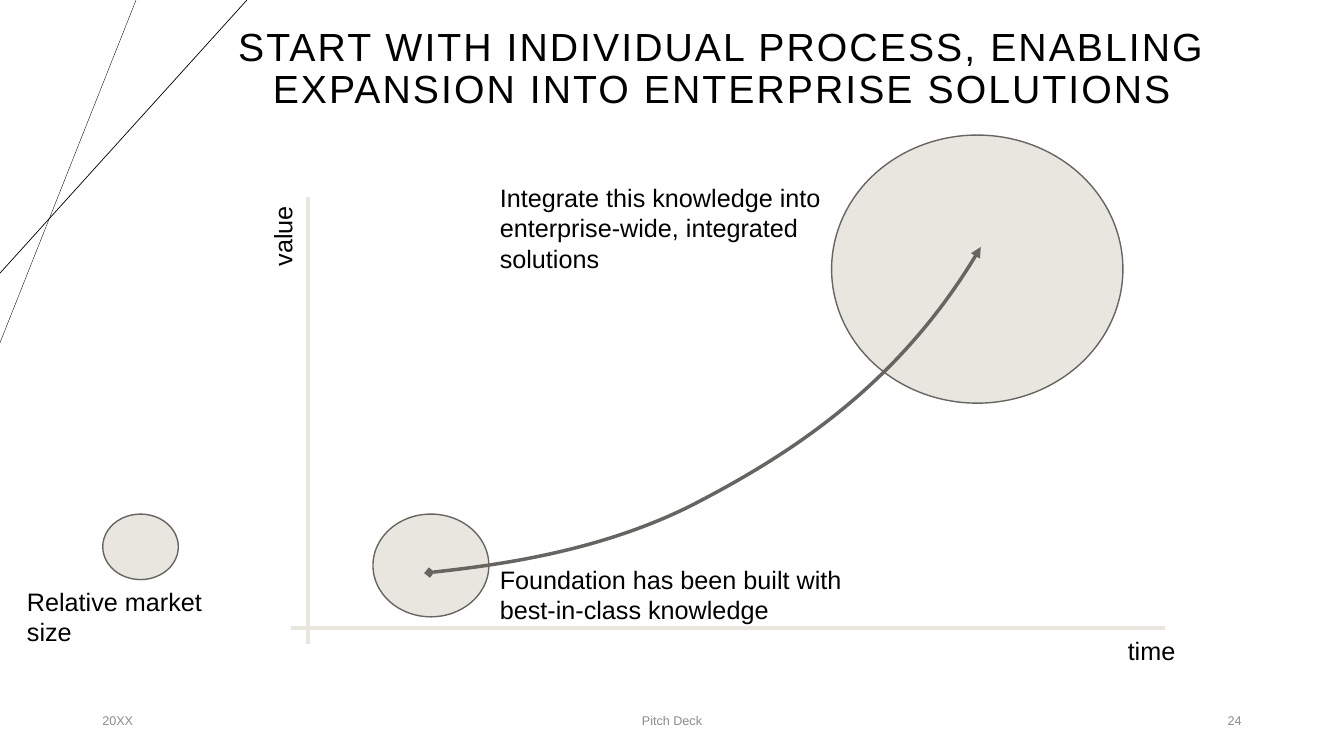
from dataclasses import dataclass

from lxml.etree import SubElement
from pptx import Presentation
from pptx.dml.color import RGBColor
from pptx.enum.shapes import MSO_CONNECTOR, MSO_SHAPE
from pptx.enum.text import MSO_ANCHOR, MSO_AUTO_SIZE, PP_ALIGN
from pptx.oxml.ns import qn
from pptx.util import Pt

BLACK = RGBColor(0x00, 0x00, 0x00)
GREY = RGBColor(0x8C, 0x8C, 0x8C)
SAND = RGBColor(0xE9, 0xE6, 0xDF)
SLATE = RGBColor(0x66, 0x65, 0x62)
FONT = "Arial"


@dataclass
class Line:
    x1: float
    y1: float
    x2: float
    y2: float
    color: RGBColor
    weight: float


@dataclass
class Bubble:
    x: float
    y: float
    w: float
    h: float


@dataclass
class Label:
    text: str
    x: float
    y: float
    w: float
    h: float = 28.8
    rotation: float = 0


@dataclass
class FooterItem:
    text: str
    x: float
    w: float
    align: PP_ALIGN


CORNER_LINES = [
    Line(97.2, 0, 0, 244.8, BLACK, 0.25),
    Line(176.4, 0, 0, 195.1, BLACK, 0.5),
]
AXES = [
    Line(208.1, 448.6, 832.3, 448.6, SAND, 2.75),
    Line(220.3, 460.1, 220.3, 140.4, SAND, 2.75),
]
BUBBLES = [
    Bubble(266.4, 367.2, 82.8, 73.4),
    Bubble(594, 96.5, 208.1, 191.5),
    Bubble(73.4, 367.2, 54, 46.8),
]
# Start point, then two controls and an end point for each curve section
GROWTH = [
    (306.7, 409), (346.3, 404.6), (426.2, 395.3), (494.6, 360.7),
    (563, 325.4), (643.7, 274.3), (700.6, 176.4),
]
LABELS = [
    Label("Foundation has been built with best-in-class knowledge",
          349.9, 399.6, 274.3, 51.1),
    Label("Integrate this knowledge into enterprise-wide, integrated solutions",
          349.9, 126.7, 274.3, 72.7),
    Label("Relative market size", 12.2, 415.4, 172.8),
    Label("time", 798.5, 450, 67.7),
    Label("value", 167.8, 149, 67.7, rotation=270),
]
FOOTER = [
    FooterItem("20XX", 66, 216, PP_ALIGN.LEFT),
    FooterItem("Pitch Deck", 318, 324, PP_ALIGN.CENTER),
    FooterItem("24", 678, 216, PP_ALIGN.RIGHT),
]


def format_text(tf, size: float, color: RGBColor, align: PP_ALIGN) -> None:
    for p in tf.paragraphs:
        p.alignment = align
        for r in p.runs:
            r.font.name = FONT
            r.font.size = Pt(size)
            r.font.color.rgb = color


def add_line(s, line: Line) -> None:
    c = s.shapes.add_connector(MSO_CONNECTOR.STRAIGHT, Pt(line.x1), Pt(line.y1),
                               Pt(line.x2), Pt(line.y2))
    c.line.color.rgb = line.color
    c.line.width = Pt(line.weight)
    SubElement(c._element.spPr, qn("a:effectLst"))


def add_bubble(s, b: Bubble) -> None:
    sp = s.shapes.add_shape(MSO_SHAPE.OVAL, Pt(b.x), Pt(b.y), Pt(b.w), Pt(b.h))
    sp.shadow.inherit = False
    sp.fill.solid()
    sp.fill.fore_color.rgb = SAND
    sp.line.color.rgb = SLATE
    sp.line.width = Pt(1)


def add_growth_curve(s, points: list[tuple[float, float]]) -> None:
    start, *rest = [(Pt(x), Pt(y)) for x, y in points]
    builder = s.shapes.build_freeform(*start)
    builder.add_line_segments(rest, close=False)
    sp = builder.convert_to_shape()
    sp.shadow.inherit = False
    sp.fill.background()
    sp.line.color.rgb = SLATE
    sp.line.width = Pt(2.5)

    # Turn every three straight segments into one Bezier section
    path = next(sp._element.iter(qn("a:path")))
    segments = path.findall(qn("a:lnTo"))
    for i in range(0, len(segments), 3):
        curve = SubElement(path, qn("a:cubicBezTo"))
        for segment in segments[i:i + 3]:
            curve.append(segment[0])
            path.remove(segment)

    ln = sp._element.spPr.find(qn("a:ln"))
    SubElement(ln, qn("a:headEnd"), type="diamond")
    SubElement(ln, qn("a:tailEnd"), type="triangle")


def add_label(s, label: Label) -> None:
    sp = s.shapes.add_textbox(Pt(label.x), Pt(label.y), Pt(label.w), Pt(label.h))
    sp.rotation = label.rotation
    tf = sp.text_frame
    tf.word_wrap = True
    tf.auto_size = MSO_AUTO_SIZE.SHAPE_TO_FIT_TEXT
    tf.text = label.text
    format_text(tf, 18, BLACK, PP_ALIGN.LEFT)


def add_footer_item(s, item: FooterItem) -> None:
    sp = s.shapes.add_textbox(Pt(item.x), Pt(500.5), Pt(item.w), Pt(28.8))
    tf = sp.text_frame
    tf.word_wrap = True
    tf.vertical_anchor = MSO_ANCHOR.MIDDLE
    tf.text = item.text
    format_text(tf, 9, GREY, item.align)


def set_title(s, text: str) -> None:
    sp = s.shapes.title
    sp.left, sp.top, sp.width, sp.height = Pt(137.5), Pt(-2.2), Pt(756.7), Pt(104.4)
    tf = sp.text_frame
    tf.word_wrap = True
    tf.auto_size = MSO_AUTO_SIZE.NONE
    tf.vertical_anchor = MSO_ANCHOR.MIDDLE
    tf.text = text
    format_text(tf, 28, BLACK, PP_ALIGN.CENTER)
    p = tf.paragraphs[0]
    p.line_spacing = 0.9
    p.runs[0].font._element.set("spc", "150")


def main() -> None:
    prs = Presentation()
    prs.slide_width, prs.slide_height = Pt(960), Pt(540)
    s = prs.slides.add_slide(prs.slide_layouts[5])

    # Corner decoration, title and footer
    for line in CORNER_LINES:
        add_line(s, line)
    set_title(s, "START WITH INDIVIDUAL PROCESS, ENABLING EXPANSION INTO ENTERPRISE SOLUTIONS")
    for item in FOOTER:
        add_footer_item(s, item)

    # Value over time diagram
    for bubble in BUBBLES:
        add_bubble(s, bubble)
    add_growth_curve(s, GROWTH)
    for axis in AXES:
        add_line(s, axis)
    for label in LABELS:
        add_label(s, label)

    prs.save("out.pptx")


if __name__ == "__main__":
    main()
